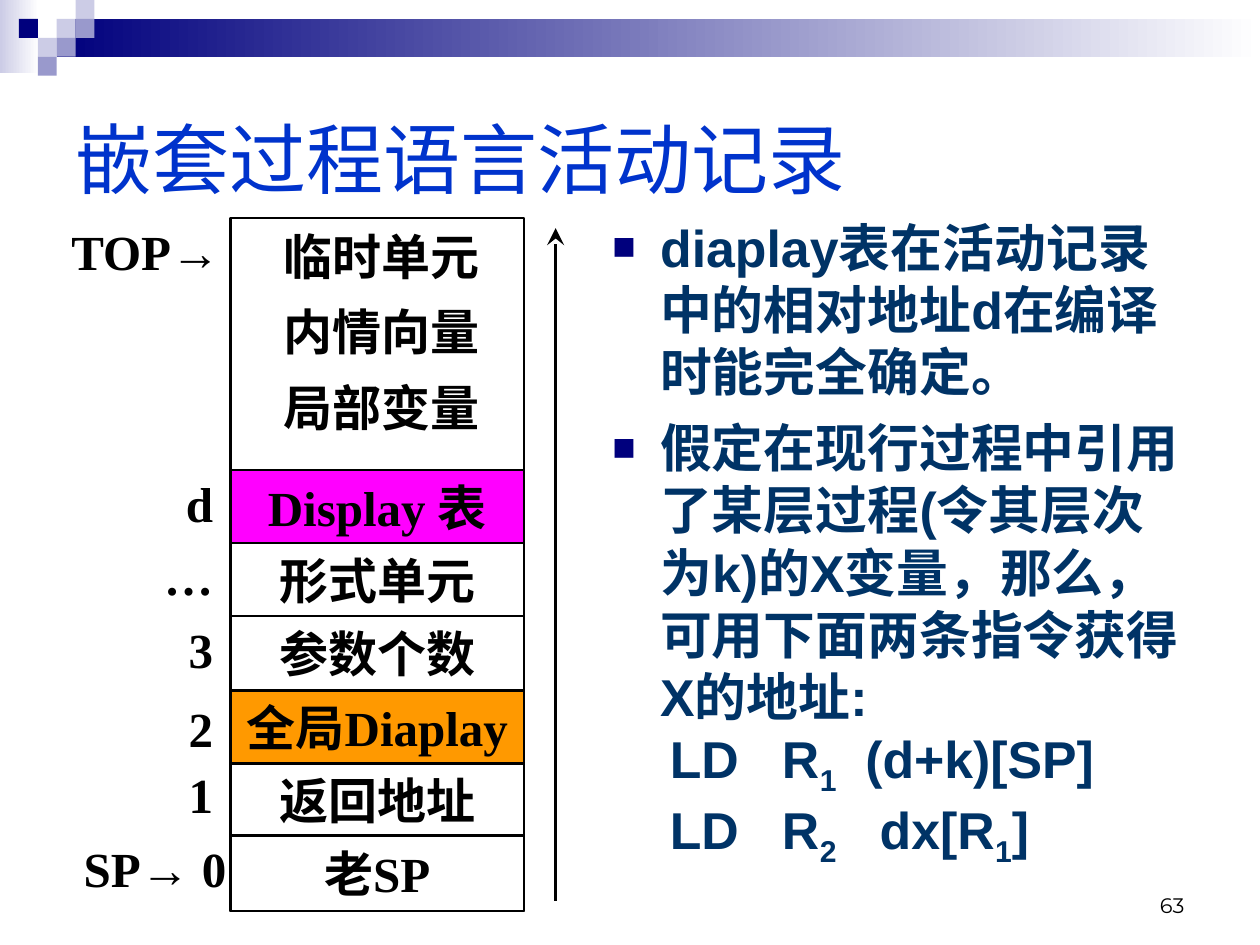
from lxml.etree import SubElement as Sub
from pptx import Presentation
from pptx.dml.color import RGBColor as Rgb
from pptx.enum.shapes import MSO_CONNECTOR as Link, MSO_SHAPE as Shape
from pptx.enum.text import MSO_ANCHOR as Anchor, MSO_AUTO_SIZE as Fit, PP_ALIGN as Align
from pptx.oxml.ns import qn
from pptx.util import Emu, Pt

PX = 9144  # 100 px to the inch
HUES = {
    "navy": "00007D", "mid": "9999CC", "pale": "CCCCE6", "white": "FFFFFF",
    "title": "0033CC", "body": "003366", "ink": "000000",
    "pink": "FF00FF", "gold": "FF9900",
}
SERIF, SANS = "Times New Roman", "Arial"

# text, height, fill, label parts (serif and sans in turn), label nudge
ROWS = [
    ("Display 表", 58, "pink", ["d"], 0),
    ("形式单元", 58, None, ["…"], 0),
    ("参数个数", 59, None, ["3"], 0),
    ("全局Diaplay", 58, "gold", ["2"], 4),
    ("返回地址", 57, None, ["1"], -2),
    ("老SP", 60, None, ["SP", "→", " 0"], 0),
]
LOCALS = ["临时单元", "内情向量", "局部变量"]
POINTS = [
    "diaplay表在活动记录中的相对地址d在编译时能完全确定。",
    "假定在现行过程中引用了某层过程(令其层次为k)的X变量，那么，可用下面两条指令获得X的地址:",
]
# plain and subscript parts in turn
CODE = [
    ["    LD   R", "1", "  (d+k)[SP]"],
    ["    LD   R", "2", "   dx[R", "1", "]"],
]


def px(*nums):
    return [Emu(round(n * PX)) for n in nums]


def hue(name):
    return Rgb.from_string(HUES[name])


def style(run, size, face, color, bold=True):
    font = run.font
    font.size, font.name, font.bold = Pt(size), face, bold
    font.color.rgb = hue(color)


def rect(slide, x, y, w, h, fill=None, edge=False):
    box = slide.shapes.add_shape(Shape.RECTANGLE, *px(x, y, w, h))
    box.shadow.inherit = False
    if fill:
        box.fill.solid()
        box.fill.fore_color.rgb = hue(fill)
    else:
        box.fill.background()
    if edge:
        box.line.color.rgb = hue("ink")
        box.line.width = Pt(1.5)
    else:
        box.line.fill.background()
    return box


def write(box, parts, align=Align.CENTER):
    """Fill a box with one unwrapped line, serif and sans parts in turn."""
    frame = box.text_frame
    frame.word_wrap = False
    frame.vertical_anchor = Anchor.MIDDLE
    para = frame.paragraphs[0]
    para.alignment = align
    for i, part in enumerate(parts):
        run = para.add_run()
        run.text = part
        style(run, 28, SANS if i % 2 else SERIF, "ink")


def label(slide, x, y, w, h, parts, align=Align.CENTER):
    write(slide.shapes.add_textbox(*px(x, y, w, h)), parts, align)


def fade(slide, x, y, w, h, start):
    fill = rect(slide, x, y, w, h).fill
    fill.gradient()
    fill.gradient_angle = 0
    for stop, name in zip(fill.gradient_stops, (start, "white")):
        stop.color.rgb = hue(name)


def banner(slide, x, y, w):
    fade(slide, x, y, 31, 58, "pale")
    fade(slide, x + 45, y + 15, w - 45, 30, "navy")
    tiles = [(3, 1, "pale"), (4, 0, "pale"), (4, 1, "mid"), (2, 2, "pale"),
             (1, 1, "navy"), (3, 2, "mid"), (2, 3, "mid")]
    for col, row, name in tiles:
        rect(slide, x + col * 15, y + row * 15, 15, 15, name)


def head(slide, x, y, w, h):
    title = slide.shapes.title
    title.left, title.top, title.width, title.height = px(x, y, w, h)
    frame = title.text_frame
    frame.text = "嵌套过程语言活动记录"
    frame.auto_size = Fit.NONE
    frame.vertical_anchor = Anchor.MIDDLE
    para = frame.paragraphs[0]
    para.alignment = Align.LEFT
    style(para.runs[0], 44, SANS, "title", False)


def bullet(para, mark):
    prop = para._p.get_or_add_pPr()
    prop.set("marL", str(38 * PX))
    prop.set("indent", str(-38 * PX))
    prop.set("hangingPunct", "0")
    if not mark:
        Sub(prop, qn("a:buNone"))
        return
    Sub(Sub(prop, qn("a:buClr")), qn("a:srgbClr"), val=HUES["navy"])
    Sub(prop, qn("a:buSzPct"), val="75000")
    Sub(prop, qn("a:buFont"), typeface=SANS)
    Sub(prop, qn("a:buChar"), char=mark)


def notes(slide, x, y, w, h):
    """Place the bullet points and the two instructions below them."""
    body = slide.placeholders[1]
    body.left, body.top, body.width, body.height = px(x, y, w, h)
    frame = body.text_frame
    frame.auto_size = Fit.NONE
    lines = [([text], "■") for text in POINTS] + [(parts, None) for parts in CODE]
    for i, (parts, mark) in enumerate(lines):
        para = frame.add_paragraph() if i else frame.paragraphs[0]
        bullet(para, mark)
        para.space_before = Pt(8 if i and mark else 0)
        for j, part in enumerate(parts):
            run = para.add_run()
            run.text = part
            style(run, 29.6, SANS, "body")
            if j % 2:
                run._r.get_or_add_rPr().set("baseline", "-25000")


def stack(slide, x, y, w, h):
    """Draw the activation record with the address labels to its left."""
    rect(slide, x, y, w, h, edge=True)
    for i, text in enumerate(LOCALS):
        label(slide, x, y + i * 60, w + 6, 60, [text])
    label(slide, x - 142, y, 160, 52, ["TOP", "→ "])
    top = y + h - sum(row[1] for row in ROWS)
    for text, tall, fill, parts, nudge in ROWS:
        write(rect(slide, x, top, w, tall, fill, True), [text])
        if len(parts) == 1:
            label(slide, x - 67, top + nudge, 63, 52, parts, Align.RIGHT)
        else:
            label(slide, x - 140, top + nudge, 160, 52, parts)
        top += tall


def arrow(slide, x, low, high):
    line = slide.shapes.add_connector(Link.STRAIGHT, *px(x, low, x, high))
    line.line.color.rgb = hue("ink")
    line.line.width = Pt(1.5)
    Sub(line.line._get_or_add_ln(), qn("a:tailEnd"), type="stealth", w="lg", len="lg")
    Sub(line._element.spPr, qn("a:effectLst"))


def number(slide, x, y, w, h):
    frame = slide.shapes.add_textbox(*px(x, y, w, h)).text_frame
    frame.word_wrap = True
    frame.vertical_anchor = Anchor.BOTTOM
    frame.text = "63"
    para = frame.paragraphs[0]
    para.alignment = Align.RIGHT
    style(para.runs[0], 12, "Montserrat", "ink", False)


def main():
    deck = Presentation()
    deck.slide_width, deck.slide_height = px(1000, 750)
    slide = deck.slides.add_slide(deck.slide_layouts[1])
    banner(slide, 0, 0, 1000)
    head(slide, 50, 50, 900, 150)
    notes(slide, 476, 166, 475, 572)
    stack(slide, 183, 173, 233, 550)
    arrow(slide, 441, 715, 181)
    number(slide, 717, 683, 233, 50)
    deck.save("out.pptx")


if __name__ == "__main__":
    main()
